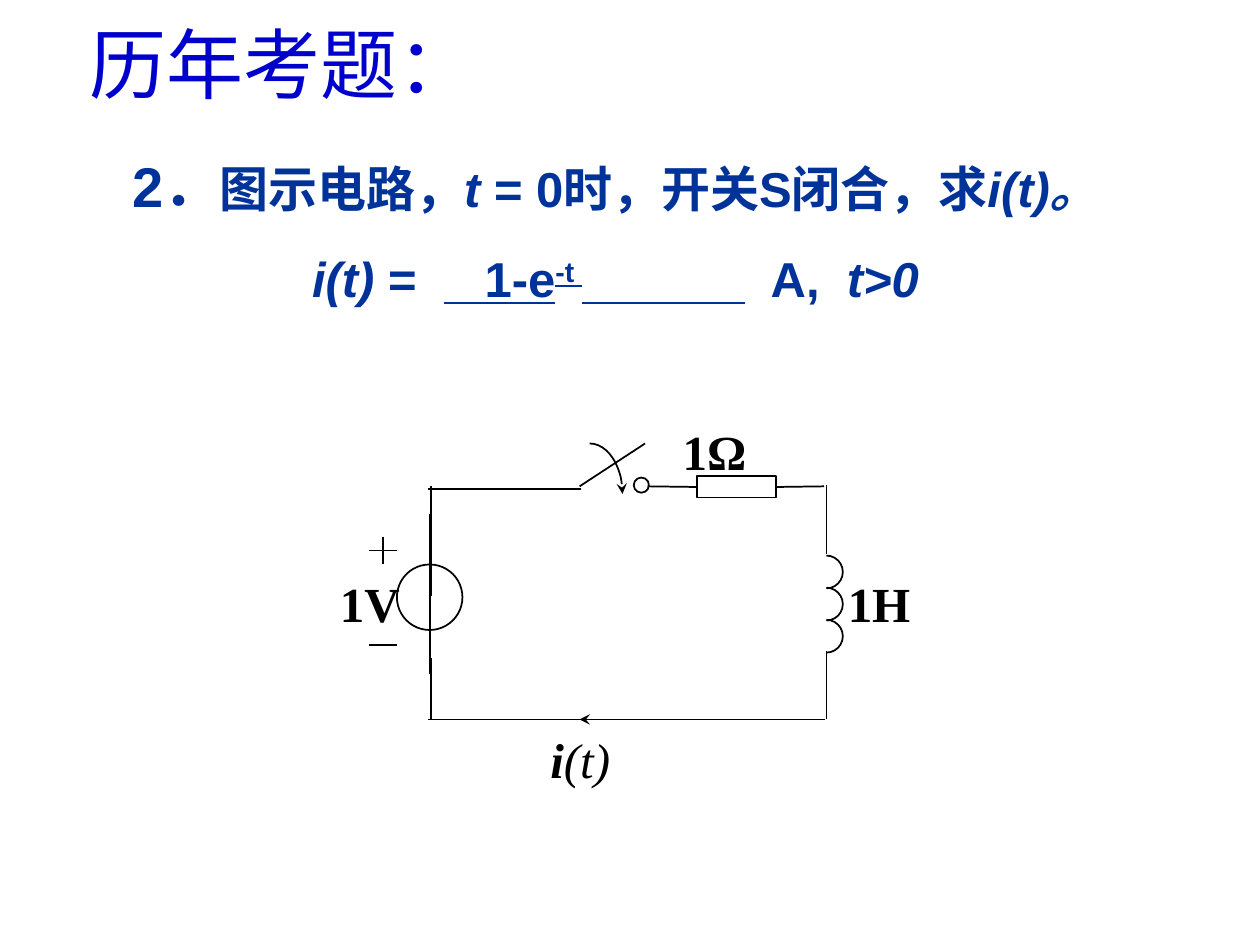
from lxml import etree
from pptx import Presentation, util as u
from pptx.dml.color import RGBColor
from pptx.enum import shapes, text
from pptx.oxml.ns import qn

BLACK = RGBColor(0, 0, 0)
NAVY = RGBColor(0x00, 0x33, 0x99)
BLUE = RGBColor(0x00, 0x00, 0xCC)
LEFT, RIGHT, TOP, BOTTOM = 3.42, 6.56, 3.86, 5.71
COIL = 0.26

WIRES = [
    (5.12, 3.52, 4.6, TOP),                # switch blade
    (3.41, 5.35, 3.41, 4.08),              # through the source
    (2.93, 4.37, 3.15, 4.37),              # plus sign
    (3.04, 4.26, 3.04, 4.48),
    (2.93, 5.12, 3.15, 5.12),              # minus sign
    (4.61, 3.88, 3.4, 3.88),
    (6.55, BOTTOM, 4.82, BOTTOM),
    (5.13, BOTTOM, 3.4, BOTTOM),
    (LEFT, BOTTOM, LEFT, 5.22),
    (LEFT, 4.73, LEFT, TOP),
    (RIGHT, 4.4, RIGHT, 3.85),
    (RIGHT, BOTTOM, RIGHT, 5.17),
]
LABELS = [
    (4.27, 5.74, 1.04, [("i", {"italic": True}), ("(t)", {"bold": False, "italic": True})]),
    (2.6, 4.5, 1.04, [("1V", {})]),
    (6.63, 4.5, 1.01, [("1H", {})]),
    (5.32, 3.3, 1.21, [("1Ω", {})]),
]


def add_run(p, words, size, color, font="Arial", bold=True, italic=False,
            underline=False, baseline=0):
    r = p.add_run()
    r.text = words
    f = r.font
    f.name, f.size, f.bold, f.italic = font, u.Pt(size), bold, italic
    f.color.rgb = color
    if underline:
        f.underline = True
    if baseline:
        r._r.get_or_add_rPr().set("baseline", str(baseline))


def place(sp, x, y, w, h):
    sp.left, sp.top, sp.width, sp.height = map(u.Inches, (x, y, w, h))


def add_question(s):
    sp = s.shapes.title
    place(sp, 0, 1.44, 9.77, 0.5)
    tf = sp.text_frame
    tf.word_wrap = True
    tf.auto_size = text.MSO_AUTO_SIZE.NONE
    tf.vertical_anchor = text.MSO_ANCHOR.MIDDLE
    p = tf.paragraphs[0]
    p.alignment = text.PP_ALIGN.CENTER
    p.line_spacing = 1.5
    add_run(p, "2．", 32, NAVY)
    for words, style in [("图示电路，", {}), ("t ", {"italic": True}),
                         ("= 0时，开关S闭合，求", {}), ("i(t)。", {"italic": True})]:
        add_run(p, words, 28, NAVY, **style)
    p.add_line_break()
    for words, style in [("i(t)", {"italic": True}), (" =  ", {}),
                         ("   1-e", {"underline": True}),
                         ("-t ", {"underline": True, "baseline": 30000}),
                         ("            ", {"underline": True}),
                         ("  A,  ", {}), ("t>0", {"italic": True})]:
        add_run(p, words, 28, NAVY, **style)


def add_text_box(s, x, y, w, h, wrap=True):
    tf = s.shapes.add_textbox(*map(u.Inches, (x, y, w, h))).text_frame
    tf.word_wrap = wrap
    return tf.paragraphs[0]


def add_label(s, x, y, w, runs):
    p = add_text_box(s, x, y, w, 0.67)
    p.alignment = text.PP_ALIGN.JUSTIFY
    for words, style in runs:
        add_run(p, words, 28, BLACK, font="Times New Roman", **style)


def style_line(sp, arrow=False):
    sp.line.color.rgb = BLACK
    sp.line.width = u.Pt(1)
    if arrow:
        ln = sp.line._get_or_add_ln()
        etree.SubElement(ln, qn("a:tailEnd"), type="stealth")


def add_wire(s, x1, y1, x2, y2, arrow=False):
    c = s.shapes.add_connector(shapes.MSO_CONNECTOR.STRAIGHT,
                               *map(u.Inches, (x1, y1, x2, y2)))
    style_line(c, arrow)
    etree.SubElement(c._element.spPr, qn("a:effectLst"))
    return c


def add_outline(s, kind, x, y, w, h, arrow=False):
    sp = s.shapes.add_shape(kind, *map(u.Inches, (x, y, w, h)))
    sp.shadow.inherit = False
    sp.fill.background()
    style_line(sp, arrow)
    return sp


def add_resistor(s):
    resistor = add_outline(s, shapes.MSO_SHAPE.RECTANGLE, 5.53, 3.78, 0.63, 0.17)
    add_wire(s, 5.53, TOP, 5.14, TOP).begin_connect(resistor, 1)
    add_wire(s, 6.54, TOP, 6.16, TOP).end_connect(resistor, 3)


def add_inductor(s):
    """Stack three right-hand half circles on the right wire."""
    for i in range(3):
        arc = add_outline(s, shapes.MSO_SHAPE.ARC, RIGHT - COIL / 2,
                          4.41 + i * COIL * 0.98, COIL, COIL)
        # arc angles: 270 to 90 degrees, in units of 0.6 per degree
        arc.adjustments[0], arc.adjustments[1] = 162, 54


def main():
    prs = Presentation()
    prs.slide_width, prs.slide_height = u.Inches(10), u.Inches(7.5)
    s = prs.slides.add_slide(prs.slide_layouts[5])
    add_question(s)
    add_run(add_text_box(s, 0.61, 0.08, 3.26, 0.84, wrap=False),
            "历年考题：", 44, BLUE, bold=False)

    for wire in WIRES:
        add_wire(s, *wire)
    add_wire(s, 5.12, BOTTOM, 4.6, BOTTOM, arrow=True)
    add_outline(s, shapes.MSO_SHAPE.OVAL, 5.03, 3.79, 0.12, 0.12)
    add_outline(s, shapes.MSO_SHAPE.OVAL, 3.15, 4.48, 0.52, 0.52)
    add_outline(s, shapes.MSO_SHAPE.ARC, 4.42, 3.52, 0.52, 0.8, arrow=True)
    add_resistor(s)
    add_inductor(s)
    for label in LABELS:
        add_label(s, *label)
    prs.save("out.pptx")


if __name__ == "__main__":
    main()
